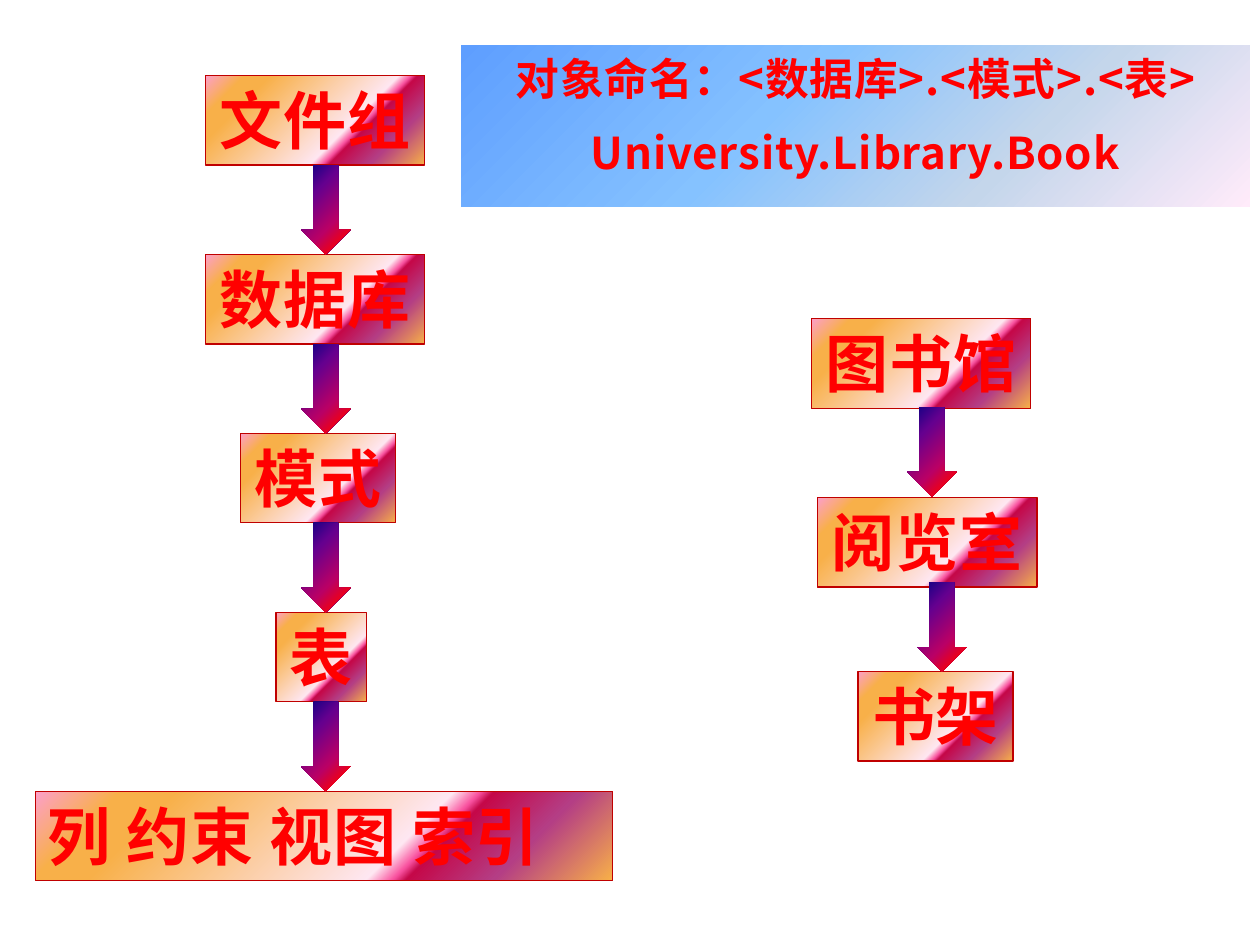
from lxml import etree
from pptx import Presentation
from pptx import util as u
from pptx.dml.color import RGBColor
from pptx.enum import shapes, text
from pptx.oxml.ns import qn

FONT = "Noto Sans CJK SC"
COLOURS = {"text": "FF0000", "border": "C00000"}
GRADIENTS = {
    "box": {0: "FC9FCB", 13: "F8B049", 21: "F8B049", 63: "FEE7F2",
            67: "F952A0", 69: "C50849", 82: "B43E85", 100: "F8B049"},
    "arrow": {0: "000082", 30: "66008F", 65: "BA0066", 90: "FF0000", 100: "FF8200"},
    "banner": {0: "5E9EFF", 40: "85C2FF", 70: "C4D6EB", 100: "FFEBFA"},
}
BOX_HEIGHT = 0.71
ARROW_SIZE = (0.39, 0.71)


def fill_gradient(shape, stops):
    """Fill a shape with a 45 degree gradient that stays fixed on the page."""
    shape.fill.gradient()
    gradient = shape._element.spPr.find(qn("a:gradFill"))
    gradient.set("rotWithShape", "0")
    for child in list(gradient):
        gradient.remove(child)
    stop_list = etree.SubElement(gradient, qn("a:gsLst"))
    for position, colour in stops.items():
        stop = etree.SubElement(stop_list, qn("a:gs"), pos=str(position * 1000))
        etree.SubElement(stop, qn("a:srgbClr"), val=colour)
    etree.SubElement(gradient, qn("a:lin"), ang="2700000", scaled="0")


def add_filled_shape(slide, kind, box, gradient):
    shape = slide.shapes.add_shape(kind, *(u.Inches(value) for value in box))
    shape.shadow.inherit = False
    fill_gradient(shape, GRADIENTS[gradient])
    shape.line.fill.background()
    return shape


def write_lines(shape, lines, size, wrap=False, align=text.PP_ALIGN.CENTER):
    frame = shape.text_frame
    frame.word_wrap = wrap
    frame.vertical_anchor = text.MSO_ANCHOR.TOP
    font_format = {"name": FONT, "size": u.Pt(size), "bold": True}
    for index, line in enumerate(lines):
        paragraph = frame.add_paragraph() if index else frame.paragraphs[0]
        paragraph.alignment = align
        paragraph.space_before = u.Pt(size / 2)
        run = paragraph.add_run()
        run.text = line
        for name, value in font_format.items():
            setattr(run.font, name, value)
        run.font.color.rgb = RGBColor.from_string(COLOURS["text"])
        properties = run._r.get_or_add_rPr()
        properties.set("spc", "50")
        etree.SubElement(properties, qn("a:ea"), typeface=FONT)


def add_chain(slide, boxes, arrows):
    """Draw a column of labelled boxes, then the arrows between them."""
    for label, left, top, width, options in boxes:
        box = add_filled_shape(slide, shapes.MSO_SHAPE.RECTANGLE,
                               (left, top, width, BOX_HEIGHT), "box")
        box.line.color.rgb = RGBColor.from_string(COLOURS["border"])
        box.line.width = u.Pt(0.75)
        write_lines(box, [label], 36, **options)
    for left, top in arrows:
        arrow = add_filled_shape(slide, shapes.MSO_SHAPE.UP_ARROW,
                                 (left, top, *ARROW_SIZE), "arrow")
        arrow.rotation = 180


def add_banner(slide, box):
    """Draw the naming rule, sized so that each paragraph stays on one line."""
    banner = add_filled_shape(slide, shapes.MSO_SHAPE.RECTANGLE, box, "banner")
    write_lines(banner, ["对象命名：<数据库>.<模式>.<表>", "University.Library.Book"],
                25, wrap=True)


def main():
    presentation = Presentation()
    presentation.slide_width = u.Inches(10)
    presentation.slide_height = u.Inches(7.5)
    slide = presentation.slides.add_slide(presentation.slide_layouts[6])

    # Database objects, from file group down to columns
    top, pitch = 0.6, 2 * BOX_HEIGHT
    database_boxes = [("文件组", 1.63, 1.74, {}), ("数据库", 1.63, 1.74, {}),
                      ("模式", 1.91, 1.23, {}), ("表", 2.19, 0.72, {}),
                      ("列 约束 视图 索引", 0.28, 4.58,
                       {"wrap": True, "align": text.PP_ALIGN.LEFT})]
    add_chain(slide,
              [(label, left, top + row * pitch, width, options)
               for row, (label, left, width, options) in enumerate(database_boxes)],
              [(2.39, top + BOX_HEIGHT + row * pitch) for row in range(4)])

    # Library comparison
    add_chain(slide,
              [("图书馆", 6.44, 2.53, 1.74, {}), ("阅览室", 6.49, 3.95, 1.74, {}),
               ("书架", 6.81, 5.33, 1.23, {})],
              [(7.2, 3.23), (7.28, 4.62)])

    # Naming rule
    add_banner(slide, (3.66, 0.36, 6.26, 1.28))

    presentation.save("out.pptx")


if __name__ == "__main__":
    main()
